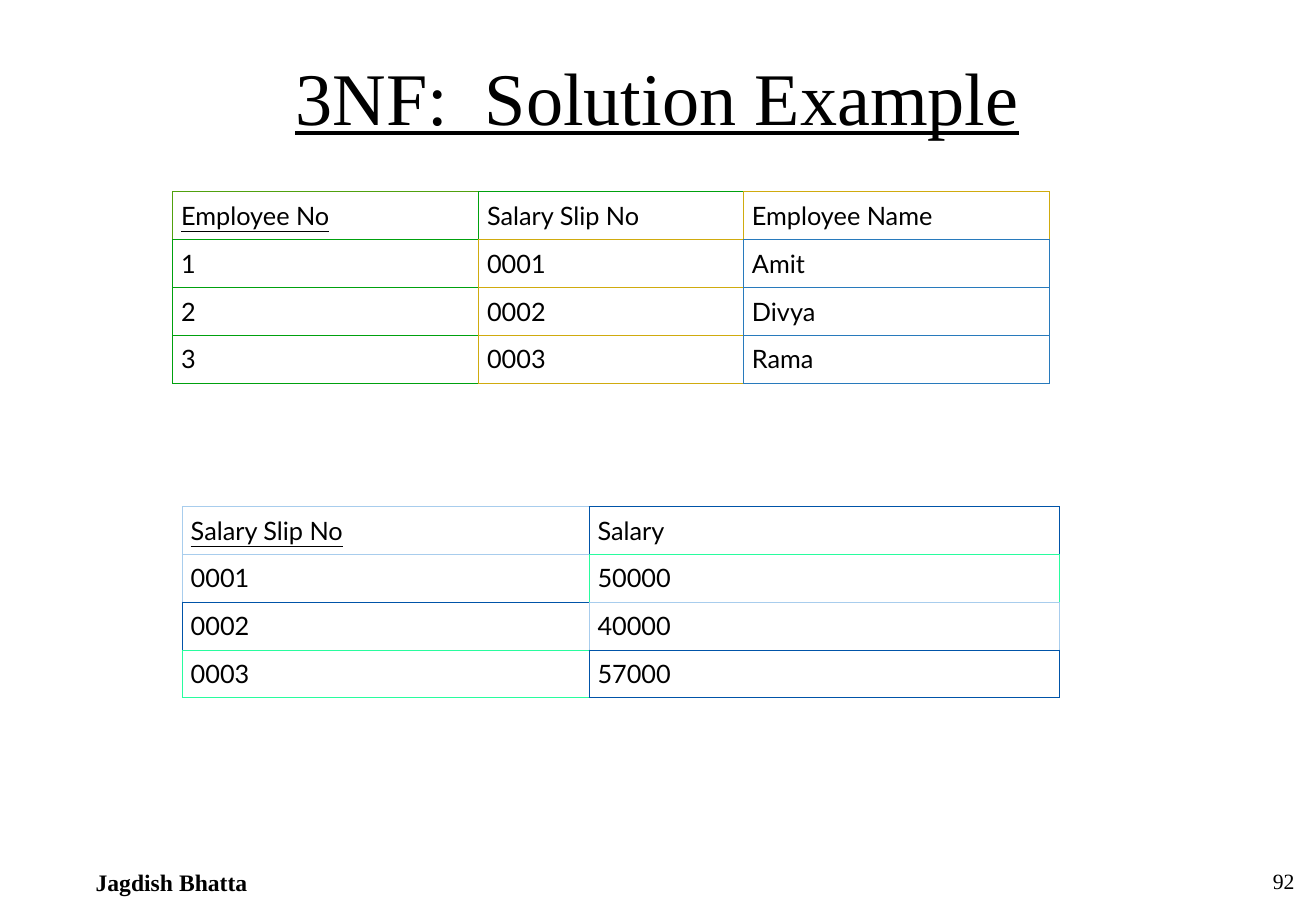
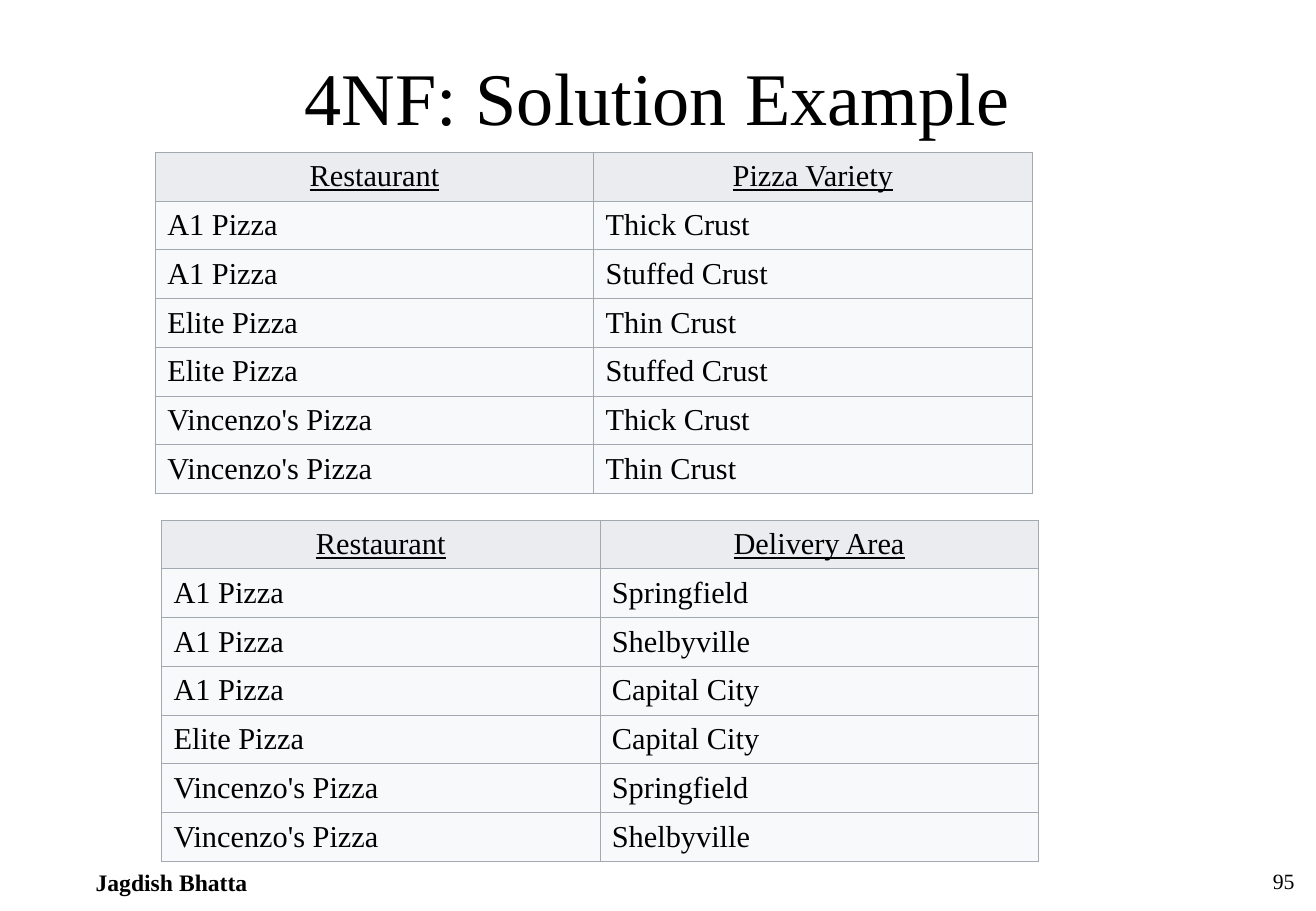
from dataclasses import dataclass

from lxml.etree import SubElement
from pptx import Presentation
from pptx.dml.color import RGBColor
from pptx.enum.text import MSO_ANCHOR as Anchor, PP_ALIGN as Align
from pptx.oxml.ns import qn
from pptx.util import Cm, Pt


@dataclass(frozen=True)
class Theme:
    serif: str = "Times New Roman"
    sans: str = "Lato"
    ink: str = "000000"
    paper: str = "FFFFFF"
    header: str = "EAECF0"
    body: str = "F8F9FA"
    rule: str = "A2A9B1"
    lime: str = "50A10E"
    green: str = "00A10E"
    gold: str = "D0AB0E"
    blue: str = "287ABC"
    sky: str = "A8CDED"
    navy: str = "0054A8"
    mint: str = "28FD9E"
    title_size: float = 44
    author_size: float = 14
    number_size: float = 12.9
    plain_size: float = 15
    shaded_size: float = 18
    thin: float = 0.34
    medium: float = 0.45


@dataclass(frozen=True)
class TableStyle:
    font: str
    size: float
    header_fill: str
    body_fill: str
    header_align: Align
    inset: float
    row_height: float
    line: float


THEME = Theme()
PLAIN = TableStyle(THEME.sans, THEME.plain_size, THEME.paper, THEME.paper,
                   Align.LEFT, 0.18, 1, THEME.medium)
SHADED = TableStyle(THEME.serif, THEME.shaded_size, THEME.header, THEME.body,
                    Align.CENTER, 0.25, 1.02, THEME.thin)


class Deck:
    def __init__(self, theme):
        self.theme = theme
        self.prs = Presentation()
        self.prs.slide_width = Cm(27.53)
        self.prs.slide_height = Cm(19.05)
        self.slide = None

    def start_slide(self, title, number, underline=False):
        theme = self.theme
        self.slide = self.prs.slides.add_slide(self.prs.slide_layouts[6])
        self.text(title, (1.37, 0.94, 24.77, 3.18), theme.title_size,
                  Align.CENTER, underline=underline)
        self.text("Jagdish Bhatta", (1.75, 18.03, 5.23, 0.84),
                  theme.author_size, bold=True)
        self.text(number, (21.59, 18.03, 5.74, 0.84),
                  theme.number_size, Align.RIGHT)

    def text(self, content, box, size, align=Align.LEFT, bold=False, underline=False):
        frame = self.slide.shapes.add_textbox(*map(Cm, box)).text_frame
        frame.word_wrap = True
        self.set_text(frame, content, self.theme.serif, size, align, bold, underline)

    def set_text(self, frame, content, face, size, align, bold=False, underline=False):
        paragraph = frame.paragraphs[0]
        paragraph.text = content
        paragraph.alignment = align
        font = paragraph.font
        font.name, font.size = face, Pt(size)
        font.bold, font.underline = bold, underline
        font.color.rgb = RGBColor.from_string(self.theme.ink)

    def table(self, left, top, widths, rows, hues, style, keys):
        height = style.row_height * len(rows)
        grid = self.slide.shapes.add_table(
            len(rows), len(widths), Cm(left), Cm(top),
            Cm(sum(widths)), Cm(height)).table
        grid.first_row = grid.horz_banding = False
        for column, width in zip(grid.columns, widths):
            column.width = Cm(width)
        for r, row in enumerate(rows):
            grid.rows[r].height = Cm(style.row_height)
            for c, content in enumerate(row):
                self.cell(grid.cell(r, c), content, style, r == 0,
                          r == 0 and c < keys)
                self.borders(grid.cell(r, c), hues, r, c, style.line)

    def cell(self, cell, content, style, is_header, is_key):
        cell.fill.solid()
        cell.fill.fore_color.rgb = RGBColor.from_string(
            style.header_fill if is_header else style.body_fill)
        cell.vertical_anchor = Anchor.MIDDLE
        cell.margin_left = cell.margin_right = Cm(style.inset)
        align = style.header_align if is_header else Align.LEFT
        self.set_text(cell.text_frame, content, style.font, style.size, align,
                      underline=is_key)

    def borders(self, cell, hues, r, c, line):
        own, thin = hues[r][c], self.theme.thin
        last_column, last_row = c == len(hues[r]) - 1, r == len(hues) - 1
        right = (own, thin) if last_column else (hues[r][c + 1], line)
        below = (own, thin) if last_row else (hues[r + 1][c], line)
        edges = {"L": (own, line), "R": right, "T": (own, line), "B": below}
        properties = cell._tc.get_or_add_tcPr()
        for position, (side, (hue, width)) in enumerate(edges.items()):
            edge = SubElement(properties, qn("a:ln" + side), w=str(Pt(width)))
            SubElement(SubElement(edge, qn("a:solidFill")), qn("a:srgbClr"), val=hue)
            properties.insert(position, edge)


def main():
    deck = Deck(THEME)
    t = THEME

    deck.start_slide("3NF:  Solution Example", "92", underline=True)
    employees = [("Employee No", "Salary Slip No", "Employee Name"),
                 ("1", "0001", "Amit"), ("2", "0002", "Divya"), ("3", "0003", "Rama")]
    employee_hues = [(t.lime, t.green, t.gold)] + [(t.green, t.gold, t.blue)] * 3
    deck.table(3.61, 4.01, (6.4, 5.54, 6.4), employees, employee_hues, PLAIN, keys=1)
    salaries = [("Salary Slip No", "Salary"),
                ("0001", "50000"), ("0002", "40000"), ("0003", "57000")]
    salary_hues = [(t.sky, t.navy), (t.sky, t.mint), (t.navy, t.sky), (t.mint, t.navy)]
    deck.table(3.81, 10.59, (8.51, 9.83), salaries, salary_hues, PLAIN, keys=1)

    deck.start_slide("4NF: Solution Example", "95")
    a1, elite, vincenzo = "A1 Pizza", "Elite Pizza", "Vincenzo's Pizza"
    varieties = [("Restaurant", "Pizza Variety"),
                 (a1, "Thick Crust"), (a1, "Stuffed Crust"),
                 (elite, "Thin Crust"), (elite, "Stuffed Crust"),
                 (vincenzo, "Thick Crust"), (vincenzo, "Thin Crust")]
    areas = [("Restaurant", "Delivery Area"),
             (a1, "Springfield"), (a1, "Shelbyville"), (a1, "Capital City"),
             (elite, "Capital City"),
             (vincenzo, "Springfield"), (vincenzo, "Shelbyville")]
    for left, top, rows in ((3.25, 3.18, varieties), (3.38, 10.87, areas)):
        deck.table(left, top, (9.17, 9.17), rows, [(t.rule, t.rule)] * len(rows),
                   SHADED, keys=2)

    deck.prs.save("out.pptx")


if __name__ == "__main__":
    main()
